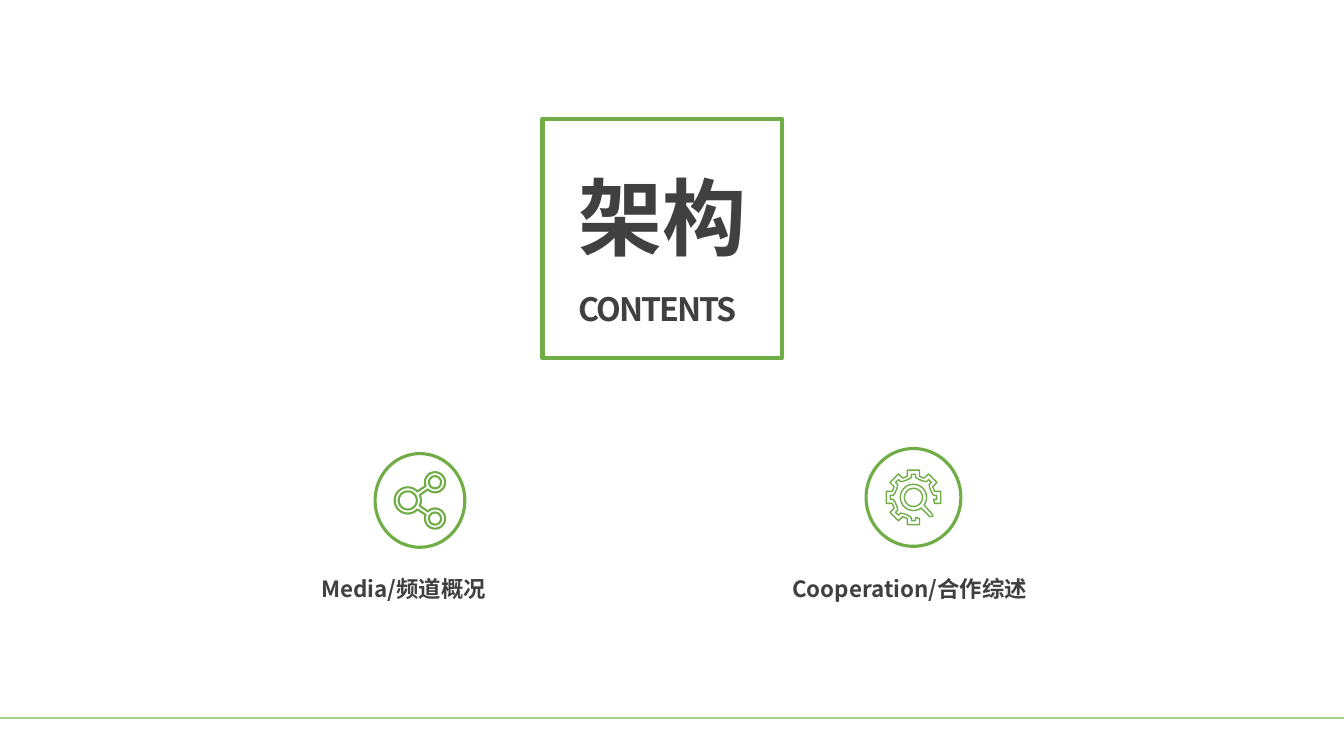
from dataclasses import dataclass
from math import cos, radians, sin

from lxml import etree
from pptx import Presentation
from pptx import util as u
from pptx.dml.color import RGBColor
from pptx.enum import shapes, text
from pptx.oxml.ns import qn

WIDE, HIGH = 13.33, 7.5


@dataclass(frozen=True)
class Theme:
    font: str = "Noto Sans CJK SC"
    ink: str = "404040"
    green: str = "70AD47"
    pale: str = "A9D18E"
    paper: str = "FFFFFF"
    title: float = 60
    sub: float = 23
    label: float = 16


T = Theme()


def paint(shape, line=None, width=1):
    shape.fill.solid()
    shape.fill.fore_color.rgb = RGBColor.from_string(T.paper)
    if line:
        shape.line.color.rgb = RGBColor.from_string(line)
        shape.line.width = u.Pt(width)


def frame(slide, kind, box, width):
    shape = slide.shapes.add_shape(kind, *map(u.Inches, box))
    shape.shadow.inherit = False
    paint(shape, T.green, width)


def write(slide, words, box, size, wrap=True, space=None):
    area = slide.shapes.add_textbox(*map(u.Inches, box))
    paint(area)
    body = area.text_frame
    body.word_wrap = wrap
    body.vertical_anchor = text.MSO_ANCHOR.MIDDLE
    run = body.paragraphs[0].add_run()
    run.text = words
    font = run.font
    font.name, font.size, font.bold = T.font, u.Pt(size), True
    font.color.rgb = RGBColor.from_string(T.ink)
    props = run._r.get_or_add_rPr()
    if space is not None:
        props.set("spc", str(int(space * 100)))
    east = etree.SubElement(props, qn("a:ea"))
    east.set("typeface", T.font)


def arc(x, y, r, start=0, end=360):
    """Points along an arc, angles in degrees clockwise from the right."""
    steps = 40
    turns = [radians(start + (end - start) * i / steps) for i in range(steps + 1)]
    return [(x + r * cos(a), y + r * sin(a)) for a in turns]


def spin(points, angle):
    c, s = cos(radians(angle)), sin(radians(angle))
    return [(x * c - y * s, x * s + y * c) for x, y in points]


def trace(slide, loops, mid, width):
    """Draw closed loops, in inches around mid, as one outline."""
    loops = [[(u.Inches(mid[0] + x), u.Inches(mid[1] + y)) for x, y in loop]
             for loop in loops]
    pen = slide.shapes.build_freeform(*loops[0][0])
    for i, loop in enumerate(loops):
        if i:
            pen.move_to(*loop[0])
        pen.add_line_segments(loop[1:], close=True)
    shape = pen.convert_to_shape()
    shape.shadow.inherit = False
    paint(shape, T.green, width)


def share():
    """Three linked rings."""
    hub, top, low = (-0.12, 0), (0.15, -0.18), (0.15, 0.18)
    rim = (arc(*hub, 0.13, 43, 317) + arc(*top, 0.1, 158, 495)
           + arc(*hub, 0.13, -24, 24) + arc(*low, 0.1, 225, 562))
    return [rim, arc(*hub, 0.09), arc(*top, 0.06), arc(*low, 0.06)]


def gear():
    """An open cog around a magnifier."""
    tooth = [(0.21, -0.06), (0.27, -0.06), (0.27, 0.06), (0.21, 0.06)]
    notch = [(0.18, -0.05), (0.2, -0.02), (0.23, -0.02),
             (0.23, 0.02), (0.2, 0.02), (0.18, 0.05)]
    turns = range(90, 361, 45)
    rim = [p for a in turns for p in spin(tooth, a)]
    bore = [p for a in turns for p in spin(notch, a)][1:-1]
    lens = arc(0, 0, 0.13, 54, 396) + [(0.19, 0.17), (0.19, 0.19), (0.16, 0.19)]
    return [rim + bore[::-1], lens, arc(0, 0, 0.09)]


def banner(slide, x, y, w, h):
    frame(slide, shapes.MSO_SHAPE.RECTANGLE, (x, y, w, h), 3)
    left = x + 0.11 * w
    write(slide, "架构", (left, y + 0.17 * h, 0.79 * w, 0.47 * h), T.title, wrap=False)
    write(slide, "CONTENTS", (left, y + 0.69 * h, 0.77 * w, 0.21 * h), T.sub,
          wrap=False, space=-1.5)


def topic(slide, words, box, ring, icon, width):
    """Place a label in box and a ringed icon above it."""
    write(slide, words, box, T.label)
    x, y, w, h = ring
    frame(slide, shapes.MSO_SHAPE.OVAL, ring, 2.25)
    trace(slide, icon, (x + w / 2, y + h / 2), width)


def footer(slide, y):
    rule = slide.shapes.add_connector(
        shapes.MSO_CONNECTOR.STRAIGHT, 0, u.Inches(y), u.Inches(WIDE), u.Inches(y))
    rule.line.color.rgb = RGBColor.from_string(T.pale)
    rule.line.width = u.Pt(1)
    etree.SubElement(rule._element.spPr, qn("a:effectLst"))


def main():
    deck = Presentation()
    deck.slide_width, deck.slide_height = u.Inches(WIDE), u.Inches(HIGH)
    slide = deck.slides.add_slide(deck.slide_layouts[6])
    topic(slide, "Media/频道概况", (3.09, 5.65, 2.21, 0.37),
          (3.72, 4.5, 0.89, 0.93), share(), 1.5)
    topic(slide, "Cooperation/合作综述", (7.76, 5.65, 3.18, 0.37),
          (8.59, 4.45, 0.94, 0.97), gear(), 1)
    banner(slide, 5.38, 1.18, 2.38, 2.37)
    footer(slide, 0.95 * HIGH)
    deck.save("out.pptx")


if __name__ == "__main__":
    main()
